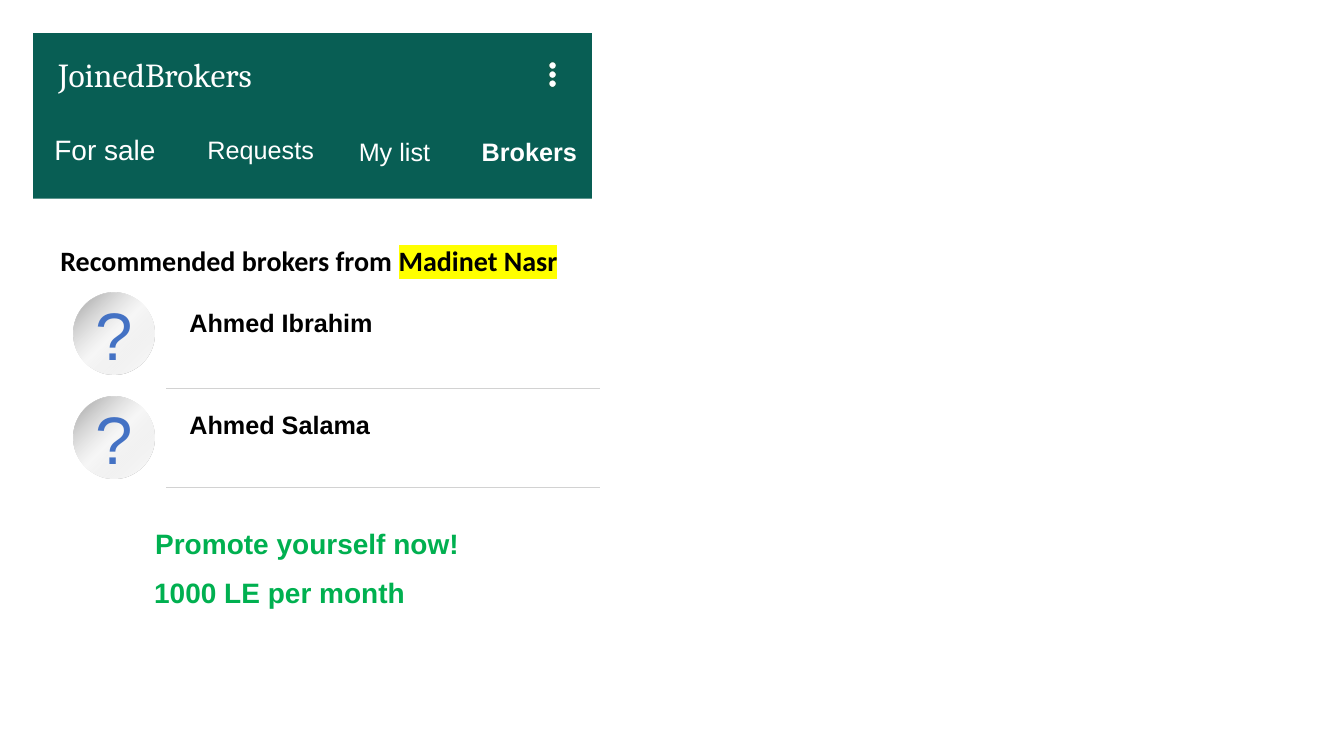
from pptx import Presentation
from pptx.dml.color import RGBColor
from pptx.enum.shapes import MSO_CONNECTOR, MSO_SHAPE
from pptx.enum.text import MSO_ANCHOR, MSO_AUTO_SIZE, PP_ALIGN
from pptx.oxml import parse_xml
from pptx.oxml.ns import nsdecls, qn
from pptx.util import Inches, Pt
from lxml import etree

TEAL = RGBColor(0x08, 0x5E, 0x54)
DARK_TEAL = RGBColor(0x0F, 0x5D, 0x4D)
GREEN = RGBColor(0x00, 0xB0, 0x50)
BLUE = RGBColor(0x44, 0x72, 0xC4)
GREY = RGBColor(0xD2, 0xD2, 0xD2)
YELLOW = RGBColor(0xFF, 0xFF, 0x00)
BLACK = RGBColor(0x00, 0x00, 0x00)
WHITE = RGBColor(0xFF, 0xFF, 0xFF)

AVATAR_STOPS = f"""<a:gsLst {nsdecls('a')}>
<a:gs pos="0"><a:srgbClr val="979797"/></a:gs>
<a:gs pos="50000"><a:srgbClr val="D7D7D7"><a:alpha val="20000"/></a:srgbClr></a:gs>
<a:gs pos="100000"><a:srgbClr val="FFFFFF"/></a:gs>
</a:gsLst>"""


class AppScreen:
    """Holds the text style and the slide that elements are added to."""

    style = {"name": "Arial", "size": Pt(18), "bold": False}

    def __init__(self, s):
        self.shapes = s.shapes

    def run(self, p, text, color, highlight=None, **fmt):
        r = p.add_run()
        r.text = text
        for key, value in {**self.style, **fmt}.items():
            setattr(r.font, key, value)
        r.font.color.rgb = color
        if highlight is not None:
            mark = parse_xml(f'<a:highlight {nsdecls("a")}><a:srgbClr val="{highlight}"/></a:highlight>')
            r.font._element.find(qn("a:solidFill")).addnext(mark)

    def text(self, x, y, w, h, text, color, wrap=False, **fmt):
        """Adds a text box and returns its paragraph."""
        tf = self.shapes.add_textbox(Inches(x), Inches(y), Inches(w), Inches(h)).text_frame
        tf.word_wrap = wrap
        tf.auto_size = MSO_AUTO_SIZE.SHAPE_TO_FIT_TEXT
        p = tf.paragraphs[0]
        self.run(p, text, color, **fmt)
        return p

    def shape(self, kind, x, y, w, h, fill=None, line=None):
        sp = self.shapes.add_shape(kind, Inches(x), Inches(y), Inches(w), Inches(h))
        sp.shadow.inherit = False
        if fill is not None:
            sp.fill.solid()
            sp.fill.fore_color.rgb = fill
        if line is None:
            sp.line.fill.background()
        else:
            sp.line.color.rgb = line
            sp.line.width = Pt(1)
        return sp

    def avatar(self, x, y):
        sp = self.shape(MSO_SHAPE.FLOWCHART_CONNECTOR, x, y, 0.8, 0.82)
        sp.fill.gradient()
        sp.fill.gradient_angle = 315
        stops = sp._element.spPr.find(".//" + qn("a:gsLst"))
        stops.getparent().replace(stops, parse_xml(AVATAR_STOPS))
        tf = sp.text_frame
        tf.vertical_anchor = MSO_ANCHOR.MIDDLE
        p = tf.paragraphs[0]
        p.alignment = PP_ALIGN.CENTER
        self.run(p, "?", BLUE, size=Pt(48))

    def divider(self, x1, x2, y):
        line = self.shapes.add_connector(
            MSO_CONNECTOR.STRAIGHT, Inches(x1), Inches(y), Inches(x2), Inches(y))
        line.line.color.rgb = GREY
        line.line.width = Pt(0.5)
        etree.SubElement(line._element.spPr, qn("a:effectLst"))


def main():
    prs = Presentation()
    prs.slide_width, prs.slide_height = Inches(13.33), Inches(7.5)
    screen = AppScreen(prs.slides.add_slide(prs.slide_layouts[6]))

    heading = {"name": "Calibri", "size": Pt(20), "bold": True}
    p = screen.text(0.5, 2.37, 5.18, 0.44, "Recommended brokers from ", BLACK, wrap=True, **heading)
    screen.run(p, "Madinet Nasr", BLACK, highlight=YELLOW, **heading)

    brokers = [("Ahmed Ibrahim", 2.9, 3, 2.04, 3.85),
               ("Ahmed Salama", 3.93, 4.01, 2.01, 4.84)]
    for name, avatar_y, name_y, name_w, line_y in brokers:
        screen.divider(1.65, 5.95, line_y)
        screen.avatar(0.73, avatar_y)
        screen.text(1.78, name_y, name_w, 0.4, name, BLACK, bold=True)

    for x, y, w, offer in [(1.44, 5.17, 3.24, "Promote yourself now!"),
                           (1.43, 5.66, 2.79, "1000 LE per month")]:
        screen.text(x, y, w, 0.44, offer, GREEN, size=Pt(20), bold=True)

    screen.shape(MSO_SHAPE.RECTANGLE, 0.33, 0.33, 5.54, 1.64, TEAL)
    screen.text(0.48, 0.49, 2.32, 0.5, "JoinedBrokers", WHITE, name="Cambria", size=Pt(24))
    for i in range(3):
        screen.shape(MSO_SHAPE.FLOWCHART_CONNECTOR, 5.44, 0.61 + 0.09 * i, 0.08, 0.08,
                     WHITE, DARK_TEAL)

    tabs = [("For sale", 0.44, 1.27, 1.22, 0.44, {"size": Pt(20)}),
            ("Requests", 1.96, 1.28, 1.27, 0.4, {}),
            ("My list", 3.46, 1.3, 0.92, 0.4, {}),
            ("Brokers", 4.68, 1.3, 1.16, 0.4, {"bold": True})]
    for label, x, y, w, h, fmt in tabs:
        screen.text(x, y, w, h, label, WHITE, **fmt)

    prs.save("out.pptx")


if __name__ == "__main__":
    main()
